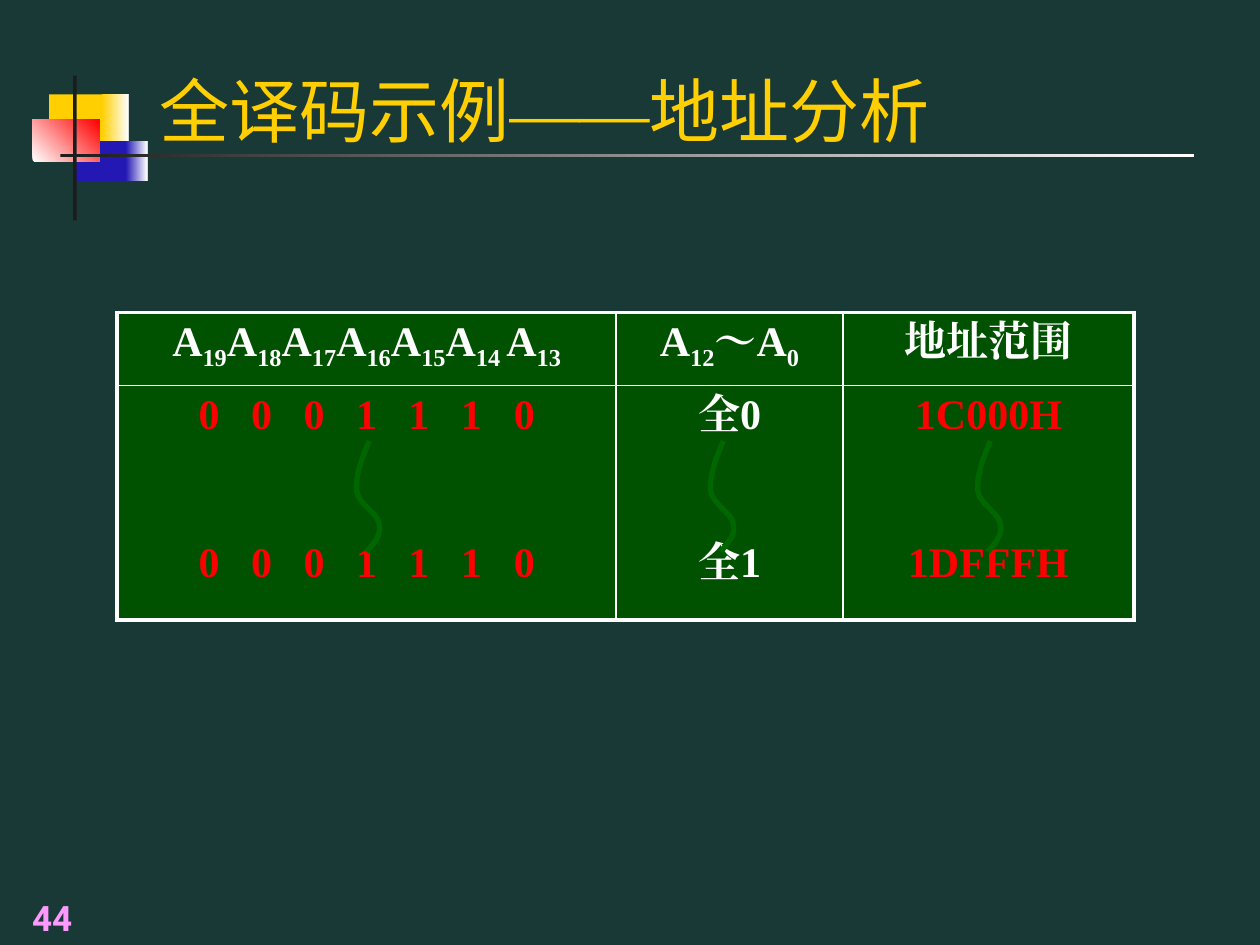
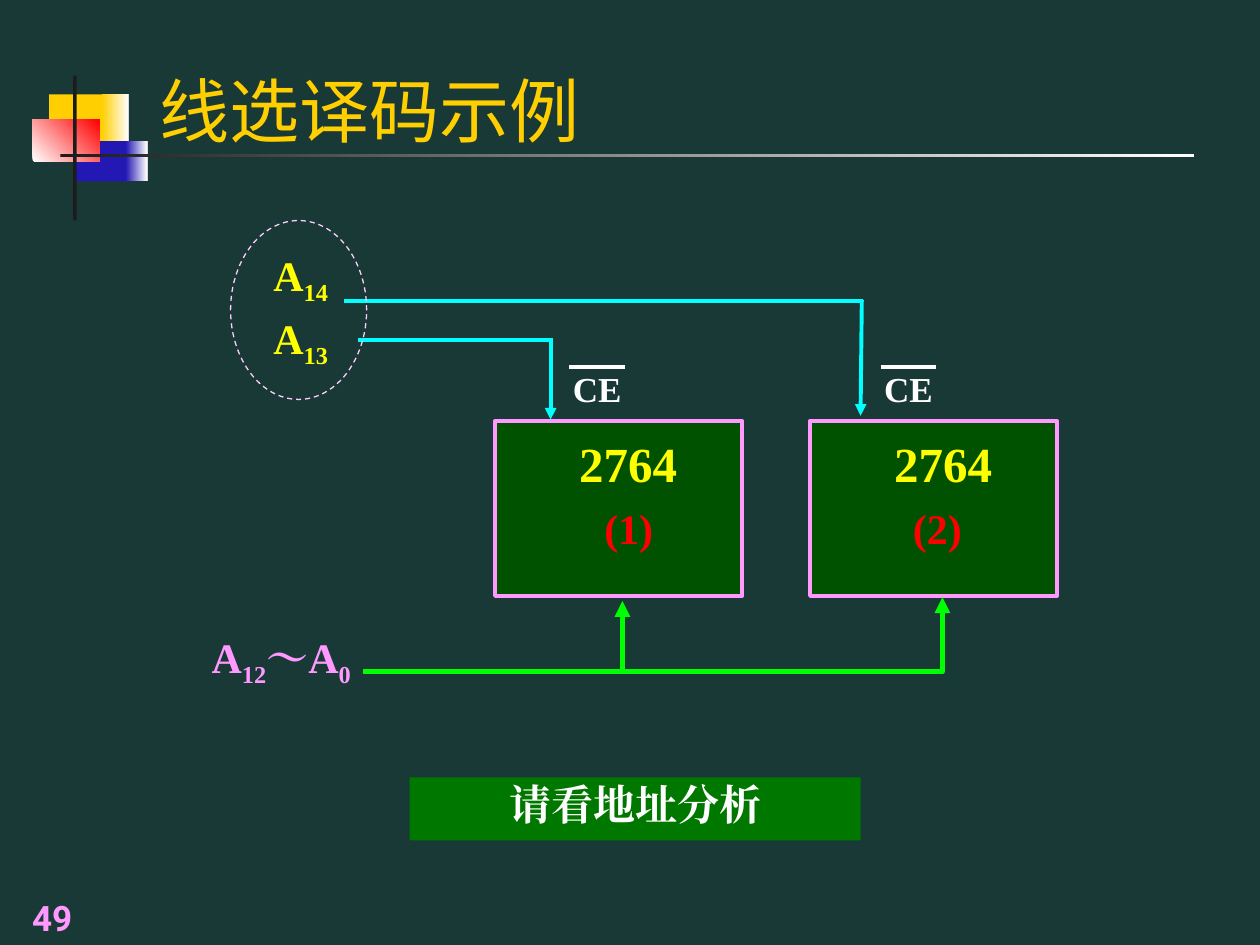
from lxml import etree
from pptx import Presentation, oxml, util as u
from pptx.dml.color import RGBColor
from pptx.enum import dml, shapes, text
from pptx.oxml.ns import qn

COLORS = {
    "background": "193936", "gold": "FFCF01", "blue": "2318B4", "red": "FF0000",
    "white": "FFFFFF", "black": "1C1C1C", "pink": "FF99FF", "pale pink": "FFCCFF",
    "panel": "005200", "curve": "006600", "button": "007800",
    "yellow": "FFFF00", "cyan": "00FFFF", "green": "00FF00",
}
SERIF, SANS = "Times New Roman", "Roboto"
TOP, BOTTOM = text.MSO_ANCHOR.TOP, text.MSO_ANCHOR.BOTTOM
LEFT, CENTER, JUSTIFY = (text.PP_ALIGN.LEFT, text.PP_ALIGN.CENTER,
                         text.PP_ALIGN.JUSTIFY)
RECT, OVAL = shapes.MSO_SHAPE.RECTANGLE, shapes.MSO_SHAPE.OVAL
DECORATION = [  # left, top, width, height, colours, gradient angle
    (0.39, 0.75, 0.46, 0.37, ["gold"], 0),
    (0.81, 0.75, 0.21, 0.37, ["gold", "white"], 0),
    (0.59, 1.12, 0.41, 0.32, ["blue"], 0),
    (1, 1.12, 0.17, 0.32, ["blue", "white"], 0),
    (0.26, 0.95, 0.53, 0.33, ["white", "red"], 45),
    (0.58, 0.6, 0.03, 1.15, ["black"], 0),
    (0.48, 1.22, 9, 0.03, ["black", "white"], 0),
]


def rgb(name):
    return RGBColor.from_string(COLORS[name])


def inches(*values):
    return [u.Inches(v) for v in values]


def subscripted(*pairs):
    """Runs for alternating names and their subscripts."""
    return [(t, {"sub": i % 2 == 1}) for i, t in enumerate(pairs)]


class Deck:
    def __init__(self):
        self.prs = Presentation()
        self.prs.slide_width, self.prs.slide_height = inches(10, 7.5)
        self.s = None

    def slide(self, title, number):
        self.s = self.prs.slides.add_slide(self.prs.slide_layouts[6])
        fill = self.s.background.fill
        fill.solid()
        fill.fore_color.rgb = rgb("background")
        for *box, fills, angle in DECORATION:
            self.shape(box, fills, angle=angle)
        self.label((1.17, 0.33, 8.52, 0.92), title, 40, "gold", align=LEFT,
                   anchor=BOTTOM, font=SANS, bold=False, inset=(0.1, 0.05))
        self.label((0, 7, 0.83, 0.5), [(number, {})], 20, "pink",
                   anchor=BOTTOM, font=SANS, inset=(0.1, 0.05))

    def stroke(self, line, color, width, dash=None):
        line.color.rgb = rgb(color)
        line.width = u.Pt(width)
        if dash:
            line.dash_style = dash

    def arrowhead(self, sp):
        ln = sp.line._get_or_add_ln()
        etree.SubElement(ln, qn("a:tailEnd"), type="triangle")

    def shape(self, box, fills=(), line=None, kind=RECT, angle=0):
        """Add a preset shape; two fills make a gradient, line is stroke arguments."""
        sp = self.s.shapes.add_shape(kind, *inches(*box))
        sp.shadow.inherit = False
        if len(fills) == 2:
            sp.fill.gradient()
            sp.fill.gradient_angle = angle
            for stop, color in zip(sp.fill.gradient_stops, fills):
                stop.color.rgb = rgb(color)
        elif fills:
            sp.fill.solid()
            sp.fill.fore_color.rgb = rgb(fills[0])
        else:
            sp.fill.background()
        if line:
            self.stroke(sp.line, *line)
        else:
            sp.line.fill.background()
        return sp

    def runs(self, p, parts, size, color, font=SERIF, bold=True, align=CENTER):
        p.alignment = align
        for words, options in parts:
            r = p.add_run()
            r.text = words
            face = options.get("font", font)
            r.font.size, r.font.bold, r.font.name = u.Pt(size), bold, face
            r.font.color.rgb = rgb(color)
            rpr = r._r.get_or_add_rPr()
            etree.SubElement(rpr, qn("a:ea"), typeface=face)
            if options.get("sub"):
                rpr.set("baseline", "-25000")
            if "spacing" in options:
                rpr.set("spc", str(options["spacing"] * 100))

    def put_text(self, sp, parts, size, color, anchor=TOP, inset=(0.01, 0.01), **style):
        tf = sp.text_frame
        tf.word_wrap = True
        tf.vertical_anchor = anchor
        tf.margin_left = tf.margin_right = u.Inches(inset[0])
        tf.margin_top = tf.margin_bottom = u.Inches(inset[1])
        self.runs(tf.paragraphs[0], parts, size, color, **style)

    def label(self, box, parts, size, color, **style):
        sp = self.s.shapes.add_textbox(*inches(*box))
        self.put_text(sp, parts, size, color, **style)

    def line(self, start, end, color, width=2.25, arrow=False):
        sp = self.s.shapes.add_connector(shapes.MSO_CONNECTOR.STRAIGHT,
                                         *inches(*start, *end))
        self.stroke(sp.line, color, width)
        if arrow:
            self.arrowhead(sp)
        etree.SubElement(sp._element.spPr, qn("a:effectLst"))

    def polyline(self, points, color, width=3, arrow=False):
        points = [inches(*pt) for pt in points]
        builder = self.s.shapes.build_freeform(*points[0])
        builder.add_line_segments(points[1:], close=False)
        sp = builder.convert_to_shape()
        sp.shadow.inherit = False
        sp.fill.background()
        self.stroke(sp.line, color, width)
        if arrow:
            self.arrowhead(sp)

    def table(self, left, top, widths, heights, rows):
        """Fill each cell from its (colour, paragraphs) pair; frame it heavily."""
        frame = self.s.shapes.add_table(len(rows), len(widths), *inches(
            left, top, sum(widths), sum(heights)))
        table = frame.table
        table.first_row = table.horz_banding = False
        for column, width in zip(table.columns, widths):
            column.width = u.Inches(width)
        for i, cells in enumerate(rows):
            table.rows[i].height = u.Inches(heights[i])
            for j, (color, paragraphs) in enumerate(cells):
                cell = table.cell(i, j)
                cell.fill.solid()
                cell.fill.fore_color.rgb = rgb("panel")
                cell.margin_bottom = 0
                tf = cell.text_frame
                for k, parts in enumerate(paragraphs):
                    p = tf.add_paragraph() if k else tf.paragraphs[0]
                    if k:
                        p.space_before = u.Pt(58)
                    self.runs(p, parts, 24, color)
                outer = {"lnL": j == 0, "lnR": j == len(widths) - 1,
                         "lnT": i == 0, "lnB": i == len(rows) - 1}
                self.borders(cell, outer)

    def borders(self, cell, outer):
        tcpr = cell._tc.get_or_add_tcPr()
        for at, (side, heavy) in enumerate(outer.items()):
            ln = oxml.parse_xml(
                f'<a:{side} xmlns:a="http://schemas.openxmlformats.org/drawingml/2006/main"'
                f' w="{u.Pt(2.25 if heavy else 1)}"><a:solidFill>'
                f'<a:srgbClr val="{COLORS["white"]}"/></a:solidFill></a:{side}>')
            tcpr.insert(at, ln)


def bezier(a, b, c, d, steps=8):
    """Points after a on the cubic curve from a to d."""
    for n in range(1, steps + 1):
        t = n / steps
        yield tuple((1 - t) ** 3 * w + 3 * t * (1 - t) ** 2 * x
                    + 3 * t * t * (1 - t) * y + t ** 3 * z
                    for w, x, y, z in zip(a, b, c, d))


def squiggle(left, top):
    nodes = [(0.11, 0), (0.05, 0.14), (0, 0.28), (0.01, 0.39), (0.02, 0.5),
             (0.18, 0.57), (0.19, 0.66), (0.21, 0.74), (0.15, 0.81), (0.09, 0.88)]
    nodes = [(left + x, top + y) for x, y in nodes]
    points = nodes[:1]
    for i in range(0, 9, 3):
        points.extend(bezier(*nodes[i:i + 4]))
    return points


def address_analysis(deck):
    deck.slide([("全译码示例", {}), ("——", {"font": SERIF}), ("地址分析", {})], "44")
    high_lines = subscripted("A", "19", "A", "18", "A", "17", "A", "16",
                             "A", "15", "A", "14 ", "A", "13")
    bits = [("0 0 0 1 1 1 ", {"spacing": 6}), ("0", {})]
    header = [("white", [high_lines]),
              ("white", [subscripted("A", "12", "～A", "0")]),
              ("white", [[("地址范围", {})]])]
    values = [("red", [bits, bits]),
              ("white", [[("全0", {})], [("全1", {})]]),
              ("red", [[("1C000H", {})], [("1DFFFH", {})]])]
    deck.table(0.93, 2.48, [3.96, 1.8, 2.31], [0.58, 1.86], [header, values])
    for left in (2.82, 5.63, 7.75):
        deck.polyline(squiggle(left, 3.5), "curve")


def linear_selection(deck):
    deck.slide([("线选译码示例", {})], "49")
    chips = [("(1)", 3.93, 4.6, 4.21), ("(2)", 6.43, 7.05, 6.68)]
    for number, left, number_left, enable_left in chips:
        deck.shape((left, 3.34, 1.96, 1.39), ["panel"], ("pink", 2.25))
        deck.label((left + 0.38, 3.43, 1.35, 0.64), [("2764", {})], 28, "yellow")
        deck.label((number_left, 3.98, 0.78, 0.64), [(number, {})], 24, "red")
        deck.label((enable_left, 2.91, 1.06, 0.41), [("CE", {})], 20, "white")
        deck.line((enable_left + 0.31, 2.91), (enable_left + 0.75, 2.91), "white")

    for index, top in (("14", 1.97), ("13", 2.47)):
        deck.label((2.16, top, 0.87, 0.6), subscripted("A", index), 24, "yellow",
                   align=JUSTIFY)
    deck.label((1.67, 5, 1.84, 0.61), subscripted("A", "12", "～A", "0"), 24, "pink",
               align=JUSTIFY)

    deck.line((2.84, 2.7), (4.38, 2.7), "cyan")
    deck.line((4.37, 2.68), (4.37, 3.33), "cyan", arrow=True)
    deck.line((2.73, 2.39), (6.85, 2.39), "cyan")
    deck.line((6.84, 2.38), (6.83, 3.3), "cyan", arrow=True)
    deck.line((4.94, 5.31), (4.94, 4.77), "green", 3, arrow=True)
    deck.polyline([(2.88, 5.33), (7.48, 5.33), (7.48, 4.74)], "green", arrow=True)

    deck.shape((1.83, 1.75, 1.08, 1.42), kind=OVAL,
               line=("pale pink", 0.75, dml.MSO_LINE.DASH))
    button = deck.shape((3.25, 6.17, 3.58, 0.5), ["button"])
    deck.put_text(button, [("请看地址分析", {})], 24, "white")


def main():
    deck = Deck()
    address_analysis(deck)
    linear_selection(deck)
    deck.prs.save("out.pptx")


if __name__ == "__main__":
    main()
